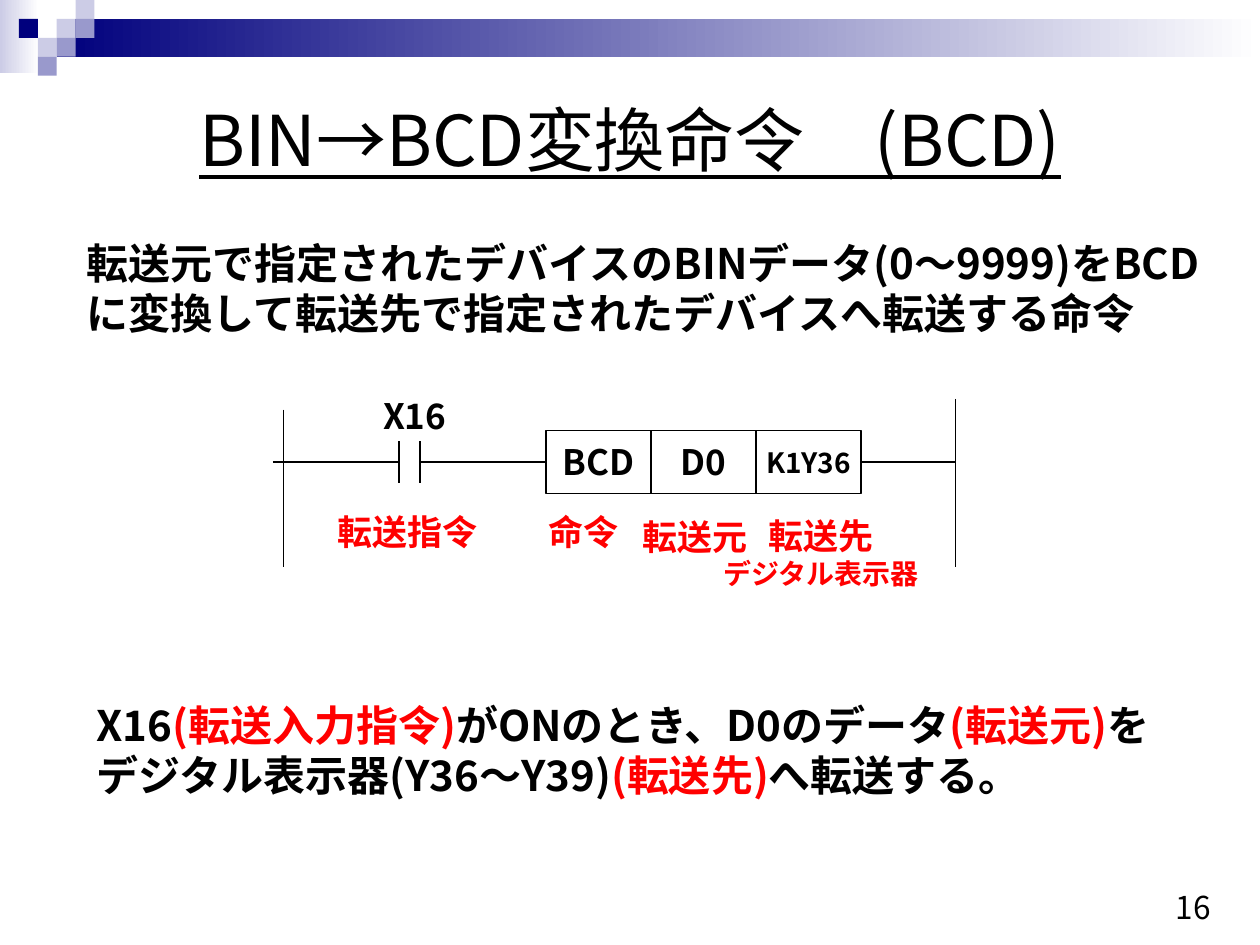
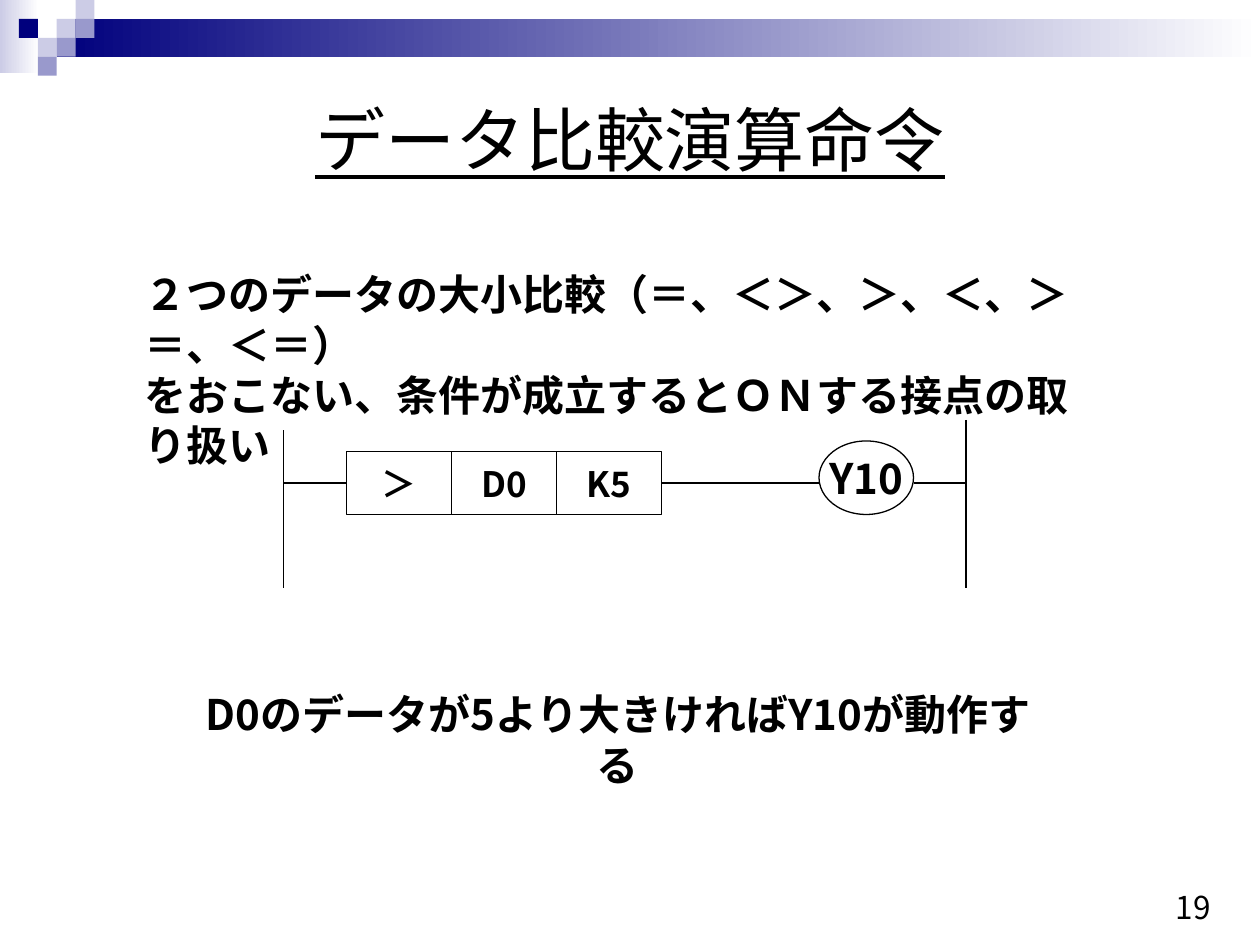
from lxml.etree import SubElement
from pptx import Presentation
from pptx.dml.color import RGBColor
from pptx.enum.shapes import MSO_CONNECTOR, MSO_SHAPE
from pptx.enum.text import MSO_ANCHOR as Anchor, MSO_AUTO_SIZE as AutoSize, PP_ALIGN as Align
from pptx.oxml.ns import qn
from pptx.util import Inches, Pt

FONT = "Noto Sans CJK JP"
BLACK, WHITE, RED = "000000", "FFFFFF", "FF0000"
NAVY, PERIWINKLE, LAVENDER = "00007D", "9999CC", "CCCCE6"
COLUMNS = 120
TILE = 1.8
CELL_WIDTH, CELL_HEIGHT = 10, 6
LEFT, RIGHT = 1, 3


def grid(*cells):
    return [Inches(10 * cell / COLUMNS) for cell in cells]


def color(hex_code):
    return RGBColor.from_string(hex_code)


def write(frame, *paragraphs, size=24, ink=BLACK, bold=True, underline=None,
          align=Align.LEFT, anchor=Anchor.TOP, wrap=True):
    frame.auto_size = AutoSize.NONE
    frame.word_wrap = wrap
    frame.vertical_anchor = anchor
    for index, content in enumerate(paragraphs):
        paragraph = frame.add_paragraph() if index else frame.paragraphs[0]
        paragraph.alignment = align
        pieces = [(content, {})] if isinstance(content, str) else content
        for words, changes in pieces:
            run = paragraph.add_run()
            run.text = words
            font = run.font
            font.name = FONT
            font.size = Pt(changes.get("size", size))
            font.bold, font.underline = bold, underline
            font.color.rgb = color(changes.get("ink", ink))
            east_asian = SubElement(run.font._element, qn("a:ea"))
            east_asian.set("typeface", FONT)


def block(slide, box, fill=WHITE, fade_to=None, outline=None, kind=MSO_SHAPE.RECTANGLE):
    shape = slide.shapes.add_shape(kind, *grid(*box))
    shape.shadow.inherit = False
    if fade_to:
        shape.fill.gradient()
        shape.fill.gradient_angle = 0
        for stop, tint in zip(shape.fill.gradient_stops, (fill, fade_to)):
            stop.color.rgb = color(tint)
    else:
        shape.fill.solid()
        shape.fill.fore_color.rgb = color(fill)
    if outline:
        shape.line.color.rgb = color(outline)
        shape.line.width = Pt(0.75)
    else:
        shape.line.fill.background()
    return shape


def wire(slide, start, end, from_cell=None, to_cell=None):
    line = slide.shapes.add_connector(MSO_CONNECTOR.STRAIGHT, *grid(*start, *end))
    line.line.color.rgb = color(BLACK)
    line.line.width = Pt(0.75)
    SubElement(line.element.spPr, qn("a:effectLst"))
    if from_cell:
        line.begin_connect(from_cell, RIGHT)
    if to_cell:
        line.end_connect(to_cell, LEFT)


def label(slide, box, *paragraphs, **style):
    write(slide.shapes.add_textbox(*grid(*box)).text_frame, *paragraphs, **style)


def caption(slide, box, *paragraphs, ink=RED, align=Align.CENTER):
    label(slide, box, *paragraphs, size=20, ink=ink, align=align,
          anchor=Anchor.MIDDLE, wrap=False)


def symbol(slide, box, name, size=20, kind=MSO_SHAPE.RECTANGLE):
    shape = block(slide, box, outline=BLACK, kind=kind)
    write(shape.text_frame, name, size=size, align=Align.CENTER,
          anchor=Anchor.MIDDLE, wrap=False)
    return shape


def instruction(slide, left, rung, operands):
    return [symbol(slide, (left + i * CELL_WIDTH, rung - CELL_HEIGHT / 2,
                           CELL_WIDTH, CELL_HEIGHT), name, size)
            for i, (name, size) in enumerate(operands)]


def rails(slide, left, right, left_top, bottom):
    wire(slide, (left, left_top), (left, bottom))
    wire(slide, (right, left_top - 1), (right, bottom))


def decorate_layout(layout, slide):
    bands = [block(slide, (0, 0, 3.7, 7), LAVENDER, fade_to=WHITE),
             block(slide, (3 * TILE, TILE, COLUMNS - 3 * TILE, 2 * TILE), NAVY, fade_to=WHITE)]
    tiles = [(3, 1, LAVENDER), (4, 0, LAVENDER), (4, 1, PERIWINKLE), (2, 2, LAVENDER),
             (1, 1, NAVY), (3, 2, PERIWINKLE), (2, 3, PERIWINKLE)]
    mosaic = [block(slide, (column * TILE, row * TILE, TILE, TILE), tint)
              for column, row, tint in tiles]
    for index, shape in enumerate(bands + mosaic):
        shape.element.nvSpPr.cNvPr.set("id", str(100 + index))
        layout.shapes.element.insert(2 + index, shape.element)


def titled_slide(deck, title, page):
    slide = deck.slides.add_slide(deck.slide_layouts[5])
    heading = slide.shapes.title
    heading.left, heading.top, heading.width, heading.height = grid(7.5, 8.6, 105, 9.2)
    write(heading.text_frame, title, size=40, bold=False, underline=True, align=Align.CENTER)
    label(slide, (107.3, 82.8, 12.7, 7.2), page, size=18, bold=False,
          align=Align.CENTER, anchor=Anchor.MIDDLE)
    return slide


def conversion_slide(deck):
    slide = titled_slide(deck, "BIN→BCD変換命令　(BCD)", "16")
    label(slide, (7.1, 22, 108.7, 11),
          "転送元で指定されたデバイスのBINデータ(0～9999)をBCDに変換して転送先で指定されたデバイスへ転送する命令")
    rung = 44
    rails(slide, 27, 91, 39, 54)
    for contact in (38, 40):
        wire(slide, (contact, rung - 2), (contact, rung + 2))
    cells = instruction(slide, 52, rung, [("BCD", 20), ("D0", 20), ("K1Y36", 16)])
    wire(slide, (26, rung), (38, rung))
    wire(slide, (40, rung), (52, rung), to_cell=cells[0])
    wire(slide, (82, rung), (91, rung), from_cell=cells[-1])
    caption(slide, (36, 37, 7, 5.2), "X16", ink=BLACK)
    caption(slide, (31, 48, 15.7, 5.2), "転送指令", align=Align.RIGHT)
    caption(slide, (51, 48, 9.1, 5.2), "命令", align=Align.RIGHT)
    caption(slide, (60, 48.5, 12.4, 5.2), "転送元")
    caption(slide, (72, 50, 12.4, 5.2), "転送先", [("デジタル表示器", {"size": 16})])
    red = {"ink": RED}
    label(slide, (8, 66, 105, 11),
          [("X16", {}), ("(転送入力指令)", red), ("がONのとき、D0のデータ", {}),
           ("(転送元)", red), ("を", {})],
          [("デジタル表示器(Y36～Y39)", {}), ("(転送先)", red), ("へ転送する。", {})])
    return slide


def comparison_slide(deck):
    slide = titled_slide(deck, "データ比較演算命令", "19")
    label(slide, (12.6, 25, 92.3, 11),
          "２つのデータの大小比較（＝、＜＞、＞、＜、＞＝、＜＝）",
          "をおこない、条件が成立するとＯＮする接点の取り扱い")
    rung = 46
    rails(slide, 27, 92, 41, 56)
    cells = instruction(slide, 33, rung, [("＞", 20), ("D0", 20), ("K5", 20)])
    symbol(slide, (78, 42, 9, 7), "Y10", size=24, kind=MSO_SHAPE.OVAL)
    wire(slide, (27, rung), (33, rung), to_cell=cells[0])
    wire(slide, (63, rung), (78, rung), from_cell=cells[-1])
    wire(slide, (87, rung), (92, rung))
    label(slide, (18, 65, 81.7, 6.1), "D0のデータが5より大きければY10が動作する",
          align=Align.CENTER)


def main():
    deck = Presentation()
    deck.slide_width, deck.slide_height = Inches(10), Inches(7.5)
    first = conversion_slide(deck)
    decorate_layout(first.slide_layout, first)
    comparison_slide(deck)
    deck.save("out.pptx")


if __name__ == "__main__":
    main()
